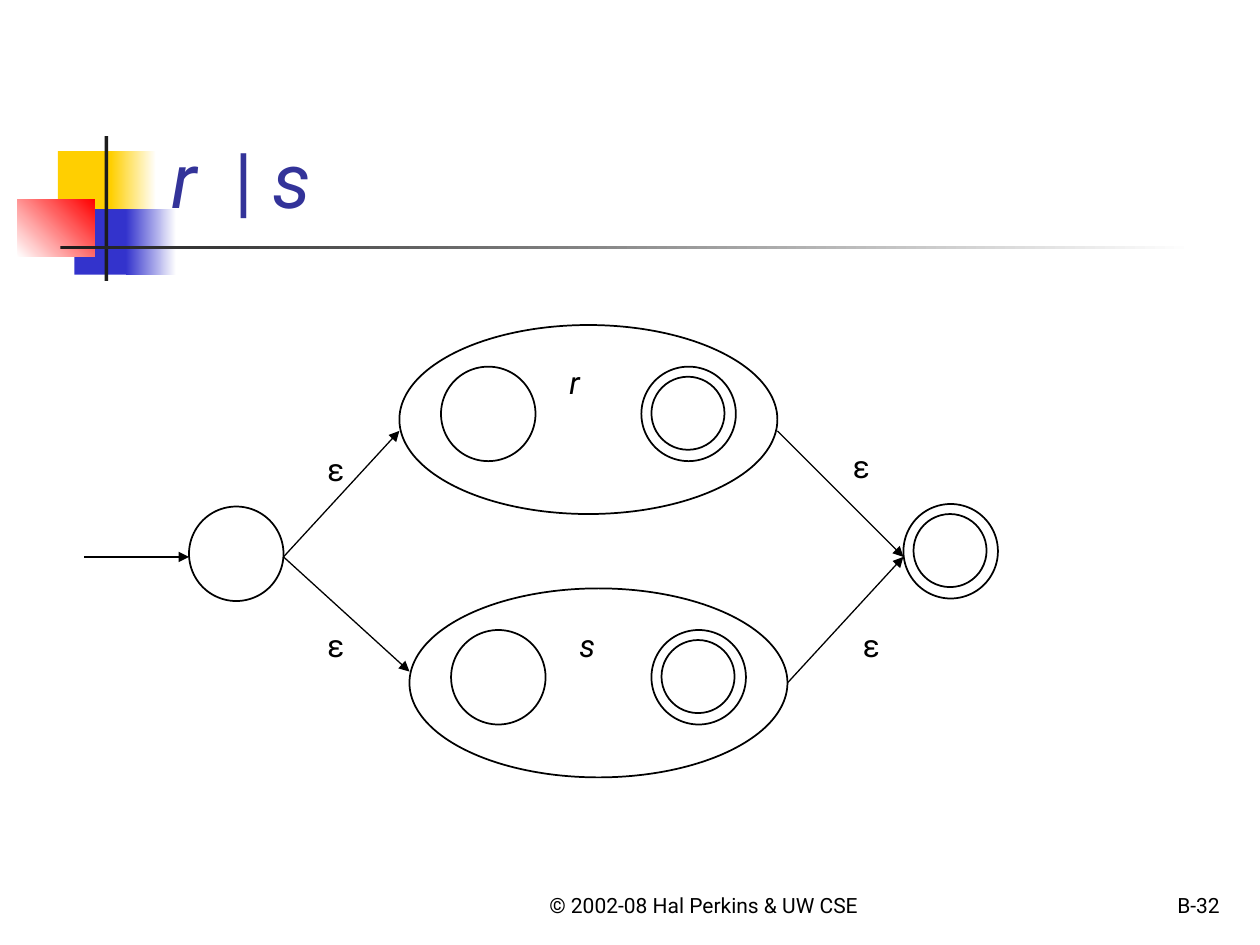
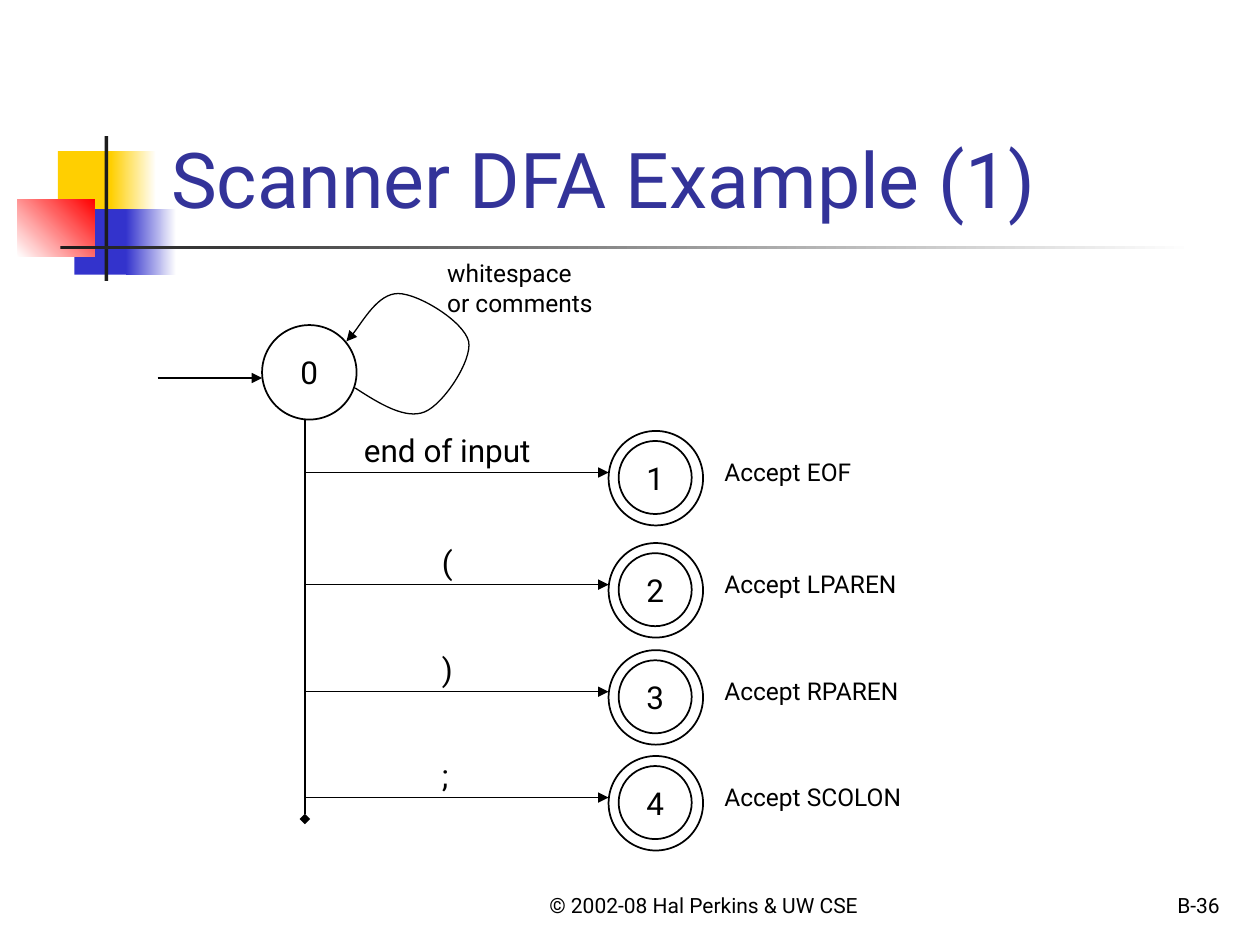
from dataclasses import dataclass
from lxml.etree import SubElement as Sub
from pptx import Presentation
from pptx.dml.color import RGBColor as Rgb
from pptx.enum.shapes import MSO_CONNECTOR as Link, MSO_SHAPE as Kind
from pptx.enum.text import MSO_ANCHOR as Anchor, MSO_AUTO_SIZE as Fit, PP_ALIGN as Align
from pptx.oxml.ns import qn
from pptx.util import Inches, Pt


@dataclass(frozen=True)
class Theme:
    font: str = "Roboto"
    ink: str = "000000"
    title: str = "333399"
    gold: str = "FFCF01"
    blue: str = "3333CC"
    red: str = "FF0000"
    bar: str = "1C1C1C"
    white: str = "FFFFFF"
    head: int = 44
    body: int = 18
    note: int = 14
    foot: int = 12
    thin: float = 0.75
    line: float = 1


class Deck:
    def __init__(self, theme):
        self.theme = theme
        self.file = Presentation()
        self.file.slide_width = Inches(10)
        self.file.slide_height = Inches(7.5)

    def start(self, title, number):
        t = self.theme
        self.slide = self.file.slides.add_slide(self.file.slide_layouts[6])
        self.shapes = self.slide.shapes
        self.block(0.46, 1.2, 0.48, 0.52, t.gold)
        self.block(0.88, 1.2, 0.36, 0.52, t.gold, t.white)
        self.block(0.59, 1.66, 0.46, 0.52, t.blue)
        self.block(1, 1.66, 0.4, 0.52, t.blue, t.white)
        self.block(0.14, 1.58, 0.61, 0.46, t.white, t.red, 45)
        self.block(0.83, 1.08, 0.03, 1.15, t.bar)
        self.block(0.48, 1.95, 9, 0.03, t.bar, t.white)
        foot = dict(size=t.foot, anchor=Anchor.BOTTOM)
        self.text(4, 6.83, 3.17, 0.5, "© 2002-08 Hal Perkins & UW CSE", align=Align.CENTER, **foot)
        self.text(7.7, 6.83, 2.08, 0.5, number, align=Align.RIGHT, **foot)
        self.text(1.26, 0.23, 8.52, 1.6, *title, size=t.head, color=t.title, anchor=Anchor.BOTTOM)

    def block(self, x, y, w, h, color, end=None, angle=0):
        box = self.shapes.add_shape(Kind.RECTANGLE, *map(Inches, (x, y, w, h)))
        box.shadow.inherit = False
        box.line.fill.background()
        if end is None:
            box.fill.solid()
            box.fill.fore_color.rgb = Rgb.from_string(color)
            return
        box.fill.gradient()
        box.fill.gradient_angle = angle
        for stop, tone in zip(box.fill.gradient_stops, (color, end)):
            stop.color.rgb = Rgb.from_string(tone)

    def add_runs(self, para, parts, size, color):
        for part in parts:
            words, slant = part if isinstance(part, tuple) else (part, False)
            if words == "\n":
                para.add_line_break()
                continue
            run = para.add_run()
            run.text = words
            run.font.name = self.theme.font
            run.font.size = Pt(size)
            run.font.italic = slant
            run.font.color.rgb = Rgb.from_string(color)

    def text(self, x, y, w, h, *parts, size=None, color=None, align=Align.LEFT,
             anchor=Anchor.TOP, wrap=True):
        frame = self.shapes.add_textbox(*map(Inches, (x, y, w, h))).text_frame
        frame.word_wrap = wrap
        frame.vertical_anchor = anchor
        frame.auto_size = Fit.SHAPE_TO_FIT_TEXT if anchor == Anchor.TOP else Fit.NONE
        para = frame.paragraphs[0]
        para.alignment = align
        self.add_runs(para, parts, size or self.theme.body, color or self.theme.ink)

    def oval(self, x, y, w=0.75, h=0.75, label=None):
        oval = self.shapes.add_shape(Kind.OVAL, *map(Inches, (x, y, w, h)))
        oval.shadow.inherit = False
        oval.fill.background()
        self.stroke(oval, self.theme.line)
        if label:
            frame = oval.text_frame
            frame.word_wrap = False
            frame.vertical_anchor = Anchor.MIDDLE
            para = frame.paragraphs[0]
            para.alignment = Align.CENTER
            self.add_runs(para, [label], self.theme.body, self.theme.ink)

    def ring(self, x, y, label=None):
        self.oval(x, y)
        self.oval(x + 0.08, y + 0.08, 0.58, 0.58, label)

    def stroke(self, shape, width, tip=None):
        shape.line.color.rgb = Rgb.from_string(self.theme.ink)
        shape.line.width = Pt(width)
        if tip:
            line = shape._element.spPr.find(qn("a:ln"))
            Sub(line, qn("a:tailEnd"), type=tip)

    def arrow(self, start, end, width=None, tip="triangle"):
        line = self.shapes.add_connector(Link.STRAIGHT, *map(Inches, start + end))
        self.stroke(line, width or self.theme.thin, tip)
        Sub(line._element.spPr, qn("a:effectLst"))

    def curve(self, start, points):
        pen = self.shapes.build_freeform(*map(Inches, start))
        pen.add_line_segments([tuple(map(Inches, p)) for p in points], close=False)
        loop = pen.convert_to_shape()
        loop.shadow.inherit = False
        loop.fill.background()
        self.stroke(loop, self.theme.thin, "triangle")
        route = next(loop._element.iter(qn("a:path")))
        steps = route.findall(qn("a:lnTo"))
        for i in range(0, len(steps), 3):
            bend = Sub(route, qn("a:cubicBezTo"))
            for step in steps[i:i + 3]:
                bend.append(step[0])
                route.remove(step)

    def machine(self, x, y, name):
        self.oval(x + 0.33, y + 0.33)
        self.ring(x + 1.92, y + 0.33)
        self.text(x + 1.25, y + 0.25, 0.42, 0.4, (name, True))
        self.oval(x, y, 3, 1.5)


def union(deck):
    deck.start([("r  ", True), "|", (" s", True)], "B-32")
    deck.machine(3.17, 2.58, "r")
    deck.machine(3.25, 4.67, "s")
    deck.oval(1.5, 4.02)
    deck.ring(7.17, 4)
    first, last = (2.25, 4.42), (7.17, 4.42)
    for start, end in ((first, (3.17, 3.42)), (first, (3.25, 5.33)),
                       ((6.25, 5.42), last), ((6.17, 3.42), last)):
        deck.arrow(start, end)
    deck.arrow((0.67, 4.42), (1.5, 4.42), deck.theme.line)
    for x, y in ((2.5, 3.52), (6.67, 3.5), (2.5, 4.92), (6.75, 4.92)):
        deck.text(x, y, 0.42, 0.4, "ε")


def scanner(deck):
    note = deck.theme.note
    deck.start(["Scanner DFA Example (1)"], "B-36")
    deck.oval(2.08, 2.58, label="0")
    deck.arrow((1.25, 3), (2.08, 3), deck.theme.line)
    deck.curve((2.82, 3.08), [
        (3.02, 3.21), (3.22, 3.33), (3.37, 3.27),
        (3.52, 3.21), (3.75, 2.86), (3.72, 2.71),
        (3.68, 2.55), (3.32, 2.33), (3.16, 2.33),
        (3, 2.33), (2.82, 2.65), (2.75, 2.71)])
    deck.text(3.45, 2, 1.42, 0.57, "whitespace", "\n", "or comments", size=note, wrap=False)
    deck.arrow((2.42, 3.33), (2.42, 6.5), tip="diamond")
    rows = ((3.75, "end of input", 2.79, 1.63, "EOF", 1.22),
            (4.64, "(", 3.41, 0.27, "LPAREN", 1.58),
            (5.49, ")", 3.41, 0.27, "RPAREN", 1.6),
            (6.33, ";", 3.41, 0.26, "SCOLON", 1.65))
    for state, (y, sign, x, wide, token, span) in enumerate(rows, 1):
        deck.arrow((2.42, y), (4.83, y))
        deck.text(x, y - 0.38, wide, 0.4, sign, wrap=False)
        deck.ring(4.83, y - 0.33, str(state))
        deck.text(5.65, y - 0.17, span, 0.34, f"Accept {token}", size=note, wrap=False)


def main():
    deck = Deck(Theme())
    union(deck)
    scanner(deck)
    deck.file.save("out.pptx")


if __name__ == "__main__":
    main()
